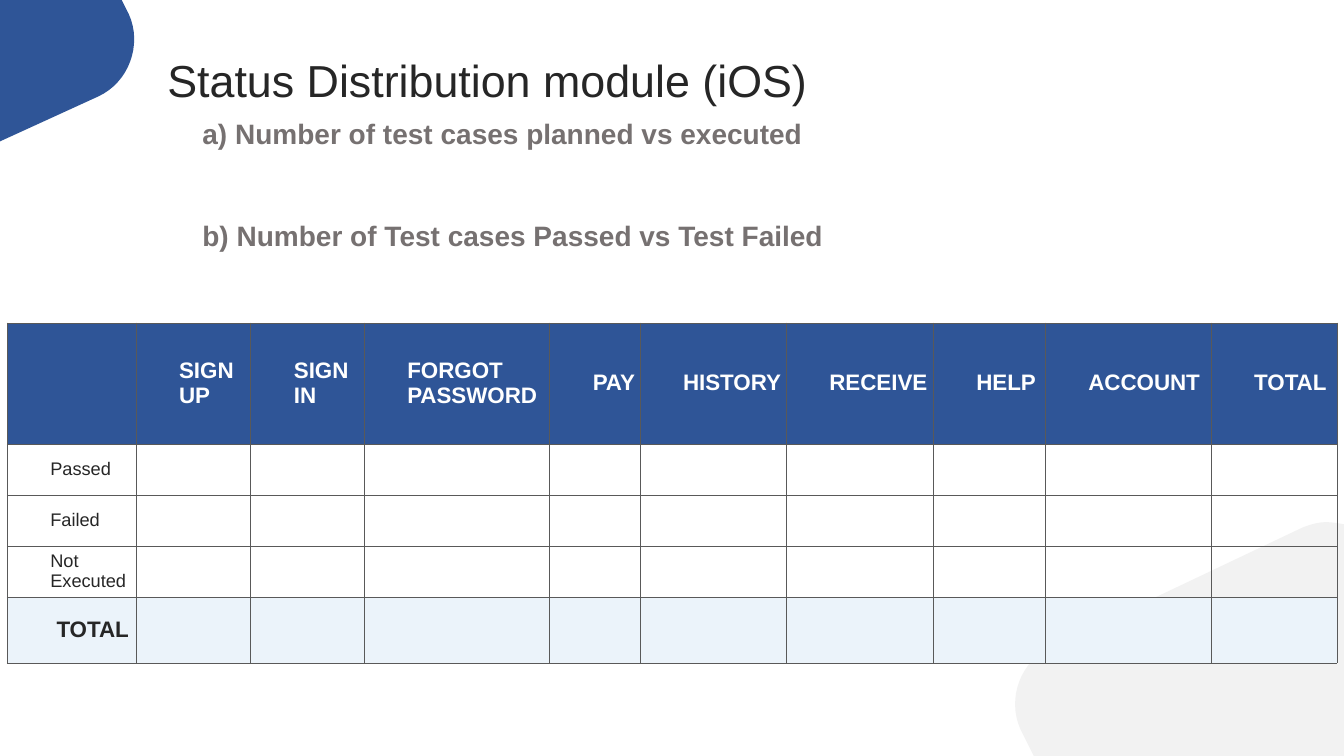
import dataclasses
import typing

import lxml.etree
import pptx
import pptx.dml.color
import pptx.enum.text
import pptx.oxml.ns
import pptx.util

Pt = pptx.util.Pt
RGB = pptx.dml.color.RGBColor
Anchor = pptx.enum.text.MSO_ANCHOR
qn = pptx.oxml.ns.qn

BLUE = RGB(0x2F, 0x55, 0x97)
PALE = RGB(0xEB, 0xF3, 0xFA)
GRAY = RGB(0xF2, 0xF2, 0xF2)
TAUPE = RGB(0x76, 0x71, 0x71)
DARK = RGB(0x26, 0x26, 0x26)
WHITE = RGB(0xFF, 0xFF, 0xFF)
RULE = RGB(0x59, 0x59, 0x59)

FONT = "Arial"
STEPS = 16
INSET = 2.2

Point = tuple[float, float]


@dataclasses.dataclass
class Blob:
    """Each leg is one point (a line) or three points (a Bezier curve)."""
    fill: RGB
    start: Point
    legs: list[list[Point]]


@dataclasses.dataclass
class Label:
    box: tuple[float, float, float, float]
    lines: list[str]
    size: float
    color: RGB
    bold: bool = False
    anchor: Anchor = Anchor.TOP
    spacing: float = 1.0
    gap: float = 0


@dataclasses.dataclass
class Row:
    height: float
    texts: list[str]
    size: float
    color: RGB
    bold: bool = False
    fill: typing.Optional[RGB] = None
    indent: float = 28.8


BLOBS = [
    Blob(GRAY, (947, 373), [
        [(951, 373), (955, 373.5), (960, 374.5)], [(960, 540)], [(738.5, 540)], [(729, 521)],
        [(719, 499), (729, 472), (751, 462)], [(930, 377)],
        [(935, 375), (941, 373), (947, 373)]]),
    Blob(BLUE, (0, 0), [
        [(87, 0)], [(92, 10)], [(102, 32), (92, 59), (70, 69)], [(0, 101)]]),
]

LABELS = [
    Label((112.5, 32.5, 582, 47.5), ["Status Distribution module (iOS)"], 32, DARK,
          anchor=Anchor.BOTTOM, spacing=0.9),
    Label((137.5, 80, 504, 152.5),
          ["a) Number of test cases planned vs executed",
           "b) Number of Test cases Passed vs Test Failed"],
          20, TAUPE, bold=True, gap=48.5),
]

WIDTHS = [92, 82, 81, 132.5, 64.5, 104.5, 105, 80, 118.5, 90]
HEADS = ["", "SIGN\nUP", "SIGN\nIN", "FORGOT\nPASSWORD", "PAY",
         "HISTORY", "RECEIVE", "HELP", "ACCOUNT", "TOTAL"]
ROWS = [
    Row(86.5, HEADS, 16, WHITE, True, BLUE),
    *[Row(36.5, [name], 13, DARK) for name in ("Passed", "Failed", "Not\nExecuted")],
    Row(47, ["TOTAL"], 16, DARK, True, PALE, 33.2),
]


def curve(start: Point, ctrl: list[Point]) -> list[Point]:
    """Sample a cubic Bezier curve, leaving out its start."""
    spots = []
    for step in range(1, STEPS + 1):
        t = step / STEPS
        u = 1 - t
        mix = (u ** 3, 3 * u * u * t, 3 * u * t * t, t ** 3)
        x, y = (sum(m * p[i] for m, p in zip(mix, [start, *ctrl])) for i in (0, 1))
        spots.append((x, y))
    return spots


def draw_blob(slide, blob: Blob) -> None:
    spots = [blob.start]
    for leg in blob.legs:
        spots += leg if len(leg) == 1 else curve(spots[-1], leg)
    ends = [(Pt(x), Pt(y)) for x, y in spots]
    pen = slide.shapes.build_freeform(*ends[0])
    pen.add_line_segments(ends[1:], close=True)
    shape = pen.convert_to_shape()
    shape.shadow.inherit = False
    shape.fill.solid()
    shape.fill.fore_color.rgb = blob.fill
    shape.line.fill.background()


def set_font(font, size: float, color: RGB, bold: bool) -> None:
    font.name = FONT
    font.size = Pt(size)
    font.bold = bold
    font.color.rgb = color


def draw_label(slide, label: Label) -> None:
    frame = slide.shapes.add_textbox(*map(Pt, label.box)).text_frame
    frame.word_wrap = True
    frame.vertical_anchor = label.anchor
    frame.text = "\n".join(label.lines)
    for i, para in enumerate(frame.paragraphs):
        para.line_spacing = label.spacing
        para.space_before = Pt(label.gap if i else 0)
        set_font(para.font, label.size, label.color, label.bold)


def add_rules(cell) -> None:
    """Give the cell a thin line on all four sides."""
    props = cell._tc.get_or_add_tcPr()
    for i, side in enumerate(("a:lnL", "a:lnR", "a:lnT", "a:lnB")):
        line = lxml.etree.Element(qn(side), w=str(Pt(0.25)))
        fill = lxml.etree.SubElement(line, qn("a:solidFill"))
        lxml.etree.SubElement(fill, qn("a:srgbClr"), val=str(RULE))
        props.insert(i, line)


def fill_cell(cell, row: Row, text: str) -> None:
    if row.fill is None:
        cell.fill.background()
    else:
        cell.fill.solid()
        cell.fill.fore_color.rgb = row.fill
    add_rules(cell)
    cell.vertical_anchor = Anchor.MIDDLE
    cell.margin_left = cell.margin_right = Pt(INSET)
    cell.margin_top = cell.margin_bottom = Pt(INSET)
    cell.text = text
    for para in cell.text_frame.paragraphs:
        set_font(para.font, row.size, row.color, row.bold)
        para._p.get_or_add_pPr().set("marL", str(Pt(row.indent)))


def draw_table(slide, left: float, top: float) -> None:
    high = sum(row.height for row in ROWS)
    table = slide.shapes.add_table(
        len(ROWS), len(WIDTHS), Pt(left), Pt(top), Pt(sum(WIDTHS)), Pt(high)).table
    table.first_row = table.horz_banding = False
    for col, width in zip(table.columns, WIDTHS):
        col.width = Pt(width)
    for r, row in enumerate(ROWS):
        table.rows[r].height = Pt(row.height)
        for c in range(len(WIDTHS)):
            text = row.texts[c] if c < len(row.texts) else ""
            fill_cell(table.cell(r, c), row, text)


def main() -> None:
    deck = pptx.Presentation()
    deck.slide_width, deck.slide_height = Pt(960), Pt(540)
    slide = deck.slides.add_slide(deck.slide_layouts[6])
    for blob in BLOBS:
        draw_blob(slide, blob)
    for label in LABELS:
        draw_label(slide, label)
    draw_table(slide, 5, 230.5)
    deck.save("out.pptx")


if __name__ == "__main__":
    main()
